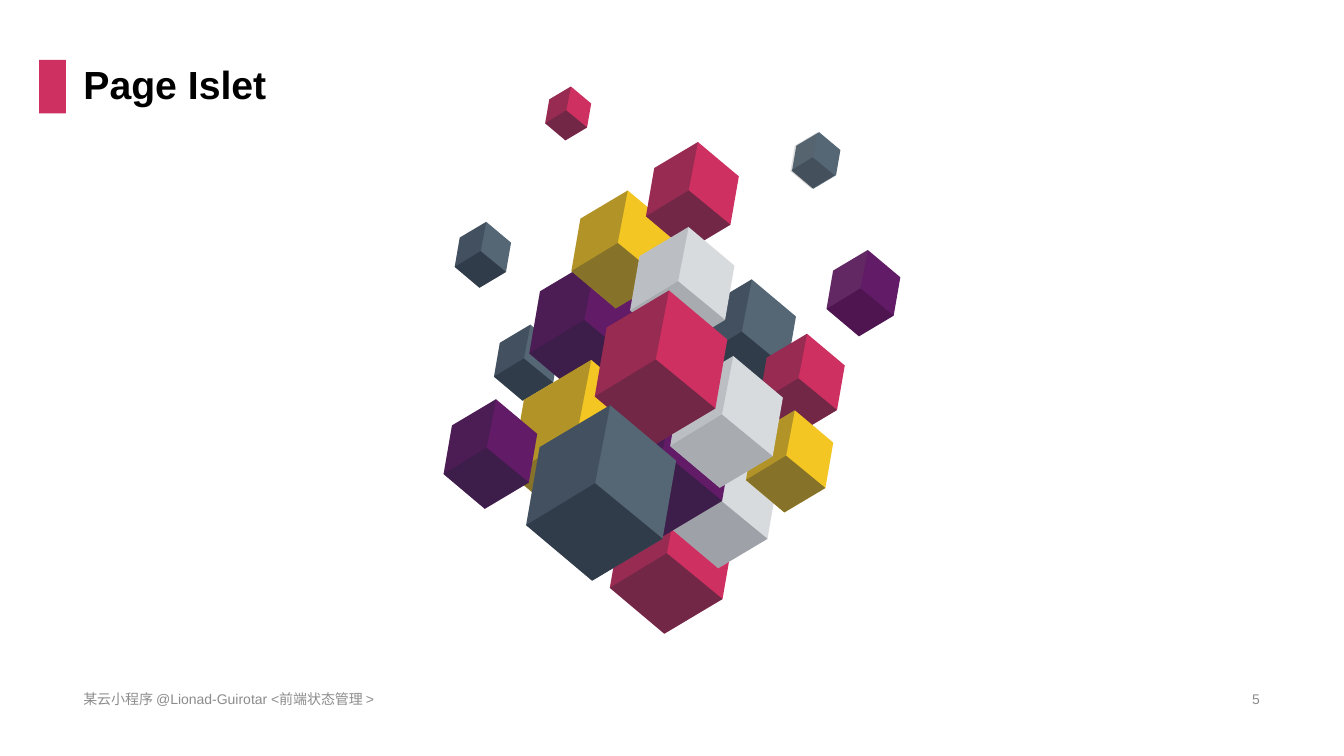
import dataclasses

import lxml.etree
import pptx
import pptx.dml.color
import pptx.enum.text
import pptx.oxml.ns
import pptx.util

Cm = pptx.util.Cm
ALIGN = pptx.enum.text.PP_ALIGN
ANCHOR = pptx.enum.text.MSO_ANCHOR

HEX = {
    "rose": "CE3061", "gold": "F3C624", "plum": "621B66", "slate": "556675",
    "ash": "D8DBDE", "ink": "1A202E", "smoke": "5D5E5E", "black": "000000",
    "grey": "8C8C8C",
}


@dataclasses.dataclass(frozen=True)
class Tone:
    """Body colour, then colour and opacity of the two shaded faces."""
    body: str
    side: int = 30
    base: int = 50
    side_ink: str = "ink"
    base_ink: str = "ink"


@dataclasses.dataclass(frozen=True)
class Cube:
    """Left, top and width in centimetres; slip moves the shades left."""
    left: float
    top: float
    width: float
    tone: Tone
    slip: float = 0


ROSE, GOLD, PLUM = Tone("rose"), Tone("gold"), Tone("plum")
SLATE = Tone("slate", base=60)
ASH = Tone("ash", side=15, base=25)
DIM_ASH = Tone("ash", side=0, base=30)  # no side shade
SOFT_PLUM = Tone("plum", 20, 20, "smoke", "black")
SOFT_SLATE = Tone("slate", 20, 20, "smoke", "black")

# Back to front
CUBES = [
    Cube(12.45, 8.18, 1.64, SLATE),
    Cube(13.34, 6.5, 3.01, PLUM),
    Cube(12.88, 9.07, 3.61, GOLD),
    Cube(20.83, 6.3, 1.86, SOFT_PLUM),
    Cube(13.74, 2.18, 1.16, ROSE),
    Cube(11.46, 5.59, 1.42, SLATE),
    Cube(15.37, 12.32, 3.12, ROSE),
    Cube(11.18, 10.06, 2.36, PLUM),
    Cube(16.94, 11.23, 2.64, DIM_ASH),
    Cube(15.16, 9.65, 3.34, PLUM),
    Cube(17.53, 7.04, 2.53, SLATE),
    Cube(19.96, 3.33, 1.22, SOFT_SLATE, slip=0.04),
    Cube(19.13, 8.41, 2.16, ROSE),
    Cube(18.8, 10.34, 2.2, GOLD),
    Cube(16.89, 8.97, 2.84, ASH),
    Cube(14.4, 4.8, 2.54, GOLD),
    Cube(16.28, 3.58, 2.34, ROSE),
    Cube(15.88, 5.72, 2.63, ASH),
    Cube(14.99, 7.32, 3.34, ROSE),
    Cube(13.26, 10.21, 3.78, SLATE),
]

# Corners of a cube one unit wide
PEAK, FOOT, CORE = (0.56, 0), (0.44, 1.17), (0.46, 0.52)
LEFT_UP, LEFT_LOW = (0.09, 0.28), (0, 0.8)
RIGHT_UP, RIGHT_LOW = (1, 0.37), (0.91, 0.89)
BODY = [PEAK, LEFT_UP, LEFT_LOW, FOOT, RIGHT_LOW, RIGHT_UP]
SIDE = [PEAK, CORE, LEFT_LOW, LEFT_UP]
BASE = [FOOT, LEFT_LOW, CORE, RIGHT_LOW]


def rgb(name: str) -> pptx.dml.color.RGBColor:
    return pptx.dml.color.RGBColor.from_string(HEX[name])


def paint(shape, name: str, cover: int = 100) -> None:
    """Fill a shape, with its opacity in percent."""
    shape.shadow.inherit = False
    shape.line.fill.background()
    shape.fill.solid()
    shape.fill.fore_color.rgb = rgb(name)
    if cover < 100:
        tint = shape.fill._xPr.find(".//" + pptx.oxml.ns.qn("a:srgbClr"))
        alpha = lxml.etree.SubElement(tint, pptx.oxml.ns.qn("a:alpha"))
        alpha.set("val", str(cover * 1000))


def face(shapes, cube: Cube, points: list, name: str,
         cover: int = 100, slip: float = 0) -> None:
    if not cover:
        return
    spots = [(Cm(cube.left - slip + x * cube.width),
              Cm(cube.top + y * cube.width)) for x, y in points]
    pen = shapes.build_freeform(*spots[0])
    pen.add_line_segments(spots[1:], close=True)
    paint(pen.convert_to_shape(), name, cover)


def draw(shapes, cube: Cube) -> None:
    tone = cube.tone
    face(shapes, cube, BODY, tone.body)
    face(shapes, cube, SIDE, tone.side_ink, tone.side, cube.slip)
    face(shapes, cube, BASE, tone.base_ink, tone.base, cube.slip)


def write(shape, text: str, *, size: int, color: str, bold: bool = False,
          align=ALIGN.LEFT, anchor=ANCHOR.MIDDLE, space: float = 1) -> None:
    frame = shape.text_frame
    frame.word_wrap = True
    frame.auto_size = pptx.enum.text.MSO_AUTO_SIZE.NONE
    frame.vertical_anchor = anchor
    line = frame.paragraphs[0]
    line.alignment = align
    line.line_spacing = space
    run = line.add_run()
    run.text = text
    run.font.name = "Arial"
    run.font.size = pptx.util.Pt(size)
    run.font.bold = bold
    run.font.color.rgb = rgb(color)


def main() -> None:
    deck = pptx.Presentation()
    deck.slide_width, deck.slide_height = Cm(33.87), Cm(19.05)
    slide = deck.slides.add_slide(deck.slide_layouts[5])
    shapes = slide.shapes

    # Title and its marker
    title = shapes.title
    title.left, title.top = Cm(1.85), Cm(0)
    title.width, title.height = Cm(30.15), Cm(2.85)
    write(title, "Page Islet", size=28, color="black", bold=True,
          anchor=ANCHOR.BOTTOM, space=0.9)
    mark = shapes.add_shape(pptx.enum.shapes.MSO_SHAPE.RECTANGLE,
                            Cm(0.99), Cm(1.51), Cm(0.67), Cm(1.35))
    paint(mark, "rose")

    # Footer and page number
    foot = shapes.add_textbox(Cm(1.85), Cm(17.32), Cm(11.5), Cm(0.58))
    write(foot, "某云小程序 @Lionad-Guirotar <前端状态管理 >",
          size=10, color="grey")
    page = shapes.add_textbox(Cm(23.93), Cm(17.32), Cm(8.07), Cm(0.58))
    write(page, "5", size=10, color="grey", align=ALIGN.RIGHT)

    # Cluster of cubes
    group = shapes.add_group_shape()
    for cube in CUBES:
        draw(group.shapes, cube)

    deck.save("out.pptx")


if __name__ == "__main__":
    import pptx.enum.shapes
    main()
